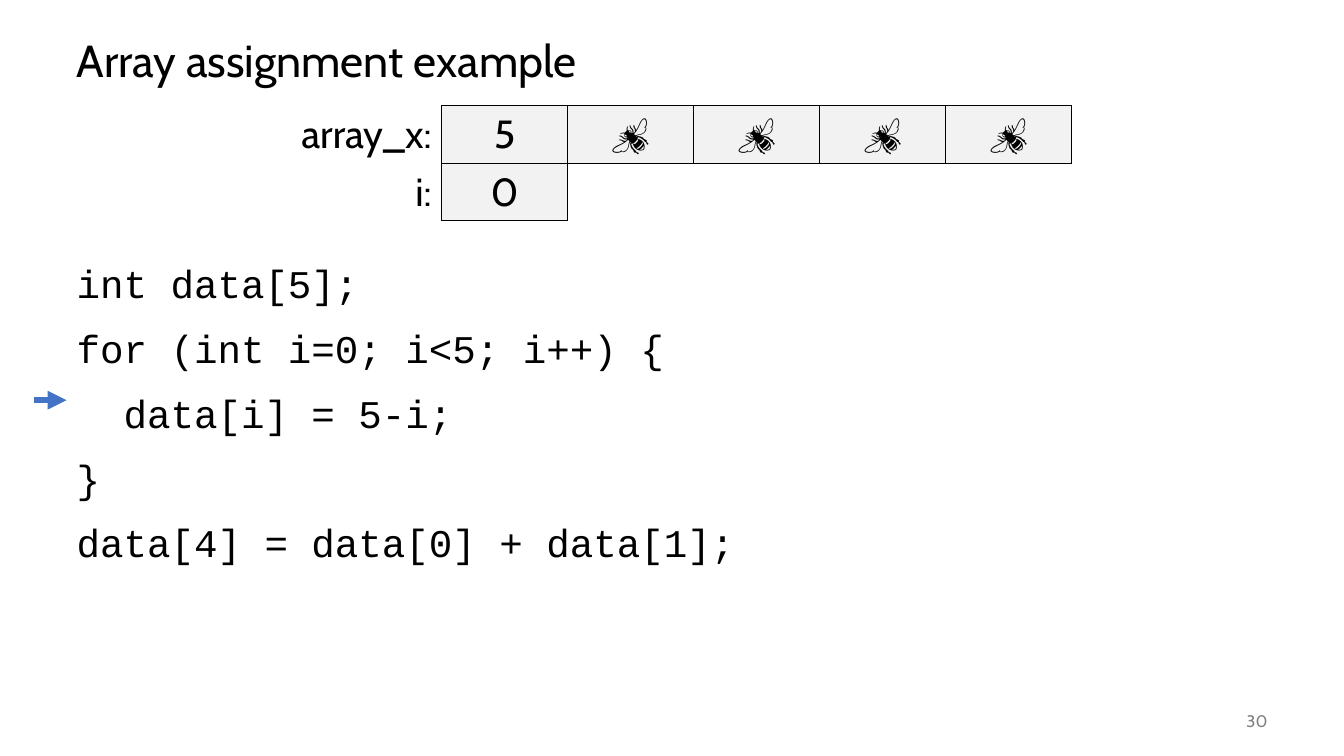
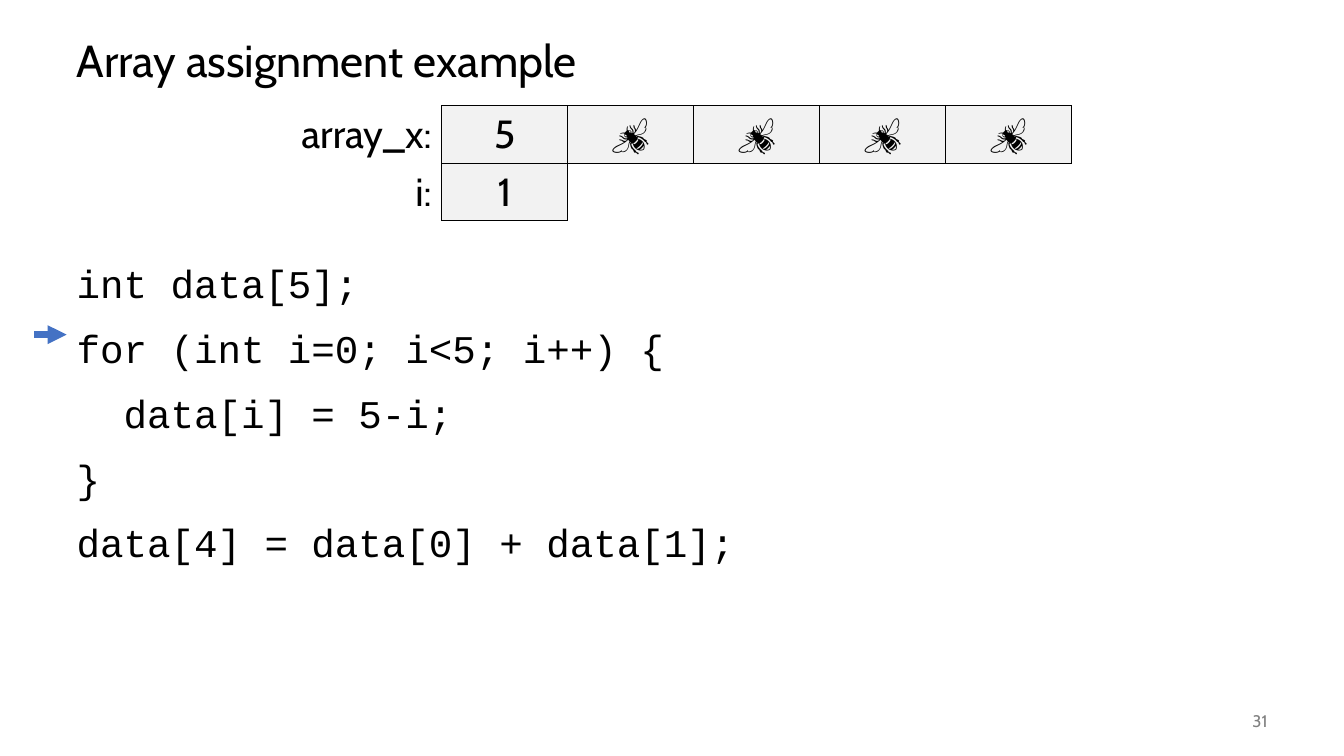
from dataclasses import dataclass

from lxml import etree
from pptx import Presentation
from pptx import util as u
from pptx.dml.color import RGBColor
from pptx.enum import shapes, text
from pptx.oxml import parse_xml
from pptx.oxml.ns import nsdecls, qn

PX = u.Inches(1) // 100  # 100 px to the inch


# Theme: colours, fonts and type sizes
@dataclass(frozen=True)
class Theme:
    ink: str = "000000"
    cell: str = "F2F2F2"
    muted: str = "808080"
    accent: str = "4472C4"
    sans: str = "Cabin"
    mono: str = "Courier New"
    title_size: int = 32
    body_size: int = 28
    number_size: int = 12
    line_spacing: float = 0.9
    code_gap: int = 16


@dataclass(frozen=True)
class Area:
    left: int
    top: int
    width: int
    height: int


@dataclass(frozen=True)
class Step:
    """One moment of the program: the value of i and the marked line."""
    i: int
    arrow_y: int


THEME = Theme()
TITLE_AREA = Area(66, 25, 1200, 75)
CODE_AREA = Area(66, 258, 1200, 417)
NUMBER_AREA = Area(1167, 695, 100, 40)
TABLE_AREA = Area(272, 105, 791, 114)
LABEL_WIDTH, CELL_WIDTH = 166, 125
ARROW_LEFT, ARROW_RIGHT = 34, 66

FIRST_NUMBER = 30
TITLE = "Array assignment example"
CODE = (
    "int data[5];",
    "for (int i=0; i<5; i++) {",
    "  data[i] = 5-i;",
    "}",
    "data[4] = data[0] + data[1];",
)
ARRAY_VALUES = ("5", "🐝", "🐝", "🐝", "🐝")
STEPS = (Step(i=0, arrow_y=397), Step(i=1, arrow_y=332))


# Helpers
def px(length: int) -> u.Emu:
    return u.Emu(length * PX)


def place(box, area: Area) -> None:
    box.left, box.top = px(area.left), px(area.top)
    box.width, box.height = px(area.width), px(area.height)


def style(para, size: int, font: str = THEME.sans, color: str = THEME.ink,
          align=text.PP_ALIGN.LEFT) -> None:
    para.alignment = align
    para.font.size = u.Pt(size)
    para.font.name = font
    para.font.color.rgb = RGBColor.from_string(color)


def set_border(cell, side: str, visible: bool) -> None:
    line = etree.SubElement(cell._tc.get_or_add_tcPr(), qn(f"a:ln{side}"))
    if visible:
        line.set("w", str(u.Pt(1)))
        fill = etree.SubElement(line, qn("a:solidFill"))
        etree.SubElement(fill, qn("a:srgbClr")).set("val", THEME.ink)
    else:
        etree.SubElement(line, qn("a:noFill"))


# Slide parts
def add_title(page) -> None:
    box = page.shapes.title
    place(box, TITLE_AREA)
    frame = box.text_frame
    frame.text = TITLE
    frame.vertical_anchor = text.MSO_ANCHOR.MIDDLE
    frame.auto_size = text.MSO_AUTO_SIZE.NONE
    para = frame.paragraphs[0]
    para.line_spacing = THEME.line_spacing
    style(para, THEME.title_size)


def add_code(page) -> None:
    box = page.placeholders[1]
    place(box, CODE_AREA)
    frame = box.text_frame
    frame.text = "\n".join(CODE)
    frame.auto_size = text.MSO_AUTO_SIZE.NONE
    for index, para in enumerate(frame.paragraphs):
        props = para._p.get_or_add_pPr()
        props.set("marL", "0")
        props.set("indent", "0")
        etree.SubElement(props, qn("a:buNone"))
        para.line_spacing = THEME.line_spacing
        para.space_before = u.Pt(THEME.code_gap if index else 0)
        style(para, THEME.body_size, THEME.mono)


def add_number(page, number: int) -> None:
    area = NUMBER_AREA
    box = page.shapes.add_textbox(px(area.left), px(area.top),
                                  px(area.width), px(area.height))
    frame = box.text_frame
    frame.word_wrap = True
    frame.vertical_anchor = text.MSO_ANCHOR.MIDDLE
    para = frame.paragraphs[0]
    style(para, THEME.number_size, color=THEME.muted,
          align=text.PP_ALIGN.RIGHT)
    para._p.append(parse_xml(
        f'<a:fld {nsdecls("a")} type="slidenum" '
        'id="{B6F15528-21DE-4FAA-801E-634DDDAF4B2B}">'
        f'<a:rPr lang="en-US"/><a:t>{number}</a:t></a:fld>'))


def add_memory(page, i: int) -> None:
    """Table of variables: a label, then one shaded cell per value."""
    rows = (("array_x:", *ARRAY_VALUES), ("i:", str(i)))
    columns = len(rows[0])
    area = TABLE_AREA
    table = page.shapes.add_table(len(rows), columns, px(area.left),
                                  px(area.top), px(area.width),
                                  px(area.height)).table
    table.first_row = table.horz_banding = False
    for c, column in enumerate(table.columns):
        column.width = px(CELL_WIDTH if c else LABEL_WIDTH)

    def holds_value(r: int, c: int) -> bool:
        return 0 <= r < len(rows) and 1 <= c < len(rows[r])

    for r, row in enumerate(rows):
        for c in range(columns):
            cell = table.cell(r, c)
            filled = holds_value(r, c)
            neighbours = {"L": (r, c - 1), "R": (r, c + 1),
                          "T": (r - 1, c), "B": (r + 1, c)}
            for side, neighbour in neighbours.items():
                set_border(cell, side, filled or holds_value(*neighbour))
            if filled:
                cell.fill.solid()
                cell.fill.fore_color.rgb = RGBColor.from_string(THEME.cell)
            else:
                cell.fill.background()
            if c < len(row):
                cell.text = row[c]
                style(cell.text_frame.paragraphs[0], THEME.body_size,
                      align=text.PP_ALIGN.CENTER if c
                      else text.PP_ALIGN.RIGHT)


def add_arrow(page, y: int) -> None:
    arrow = page.shapes.add_connector(
        shapes.MSO_CONNECTOR.STRAIGHT,
        px(ARROW_LEFT), px(y), px(ARROW_RIGHT), px(y))
    arrow.line.width = u.Pt(4.5)
    arrow.line.color.rgb = RGBColor.from_string(THEME.accent)
    tail = etree.SubElement(arrow.line._get_or_add_ln(), qn("a:tailEnd"))
    tail.set("type", "triangle")
    etree.SubElement(arrow._element.spPr, qn("a:effectLst"))


# Deck
def main() -> None:
    deck = Presentation()
    deck.slide_width, deck.slide_height = px(1333), px(750)
    deck.element.set("firstSlideNum", str(FIRST_NUMBER))
    for number, step in enumerate(STEPS, FIRST_NUMBER):
        page = deck.slides.add_slide(deck.slide_layouts[1])
        add_title(page)
        add_code(page)
        add_number(page, number)
        add_memory(page, step.i)
        add_arrow(page, step.arrow_y)
    deck.save("out.pptx")


if __name__ == "__main__":
    main()
